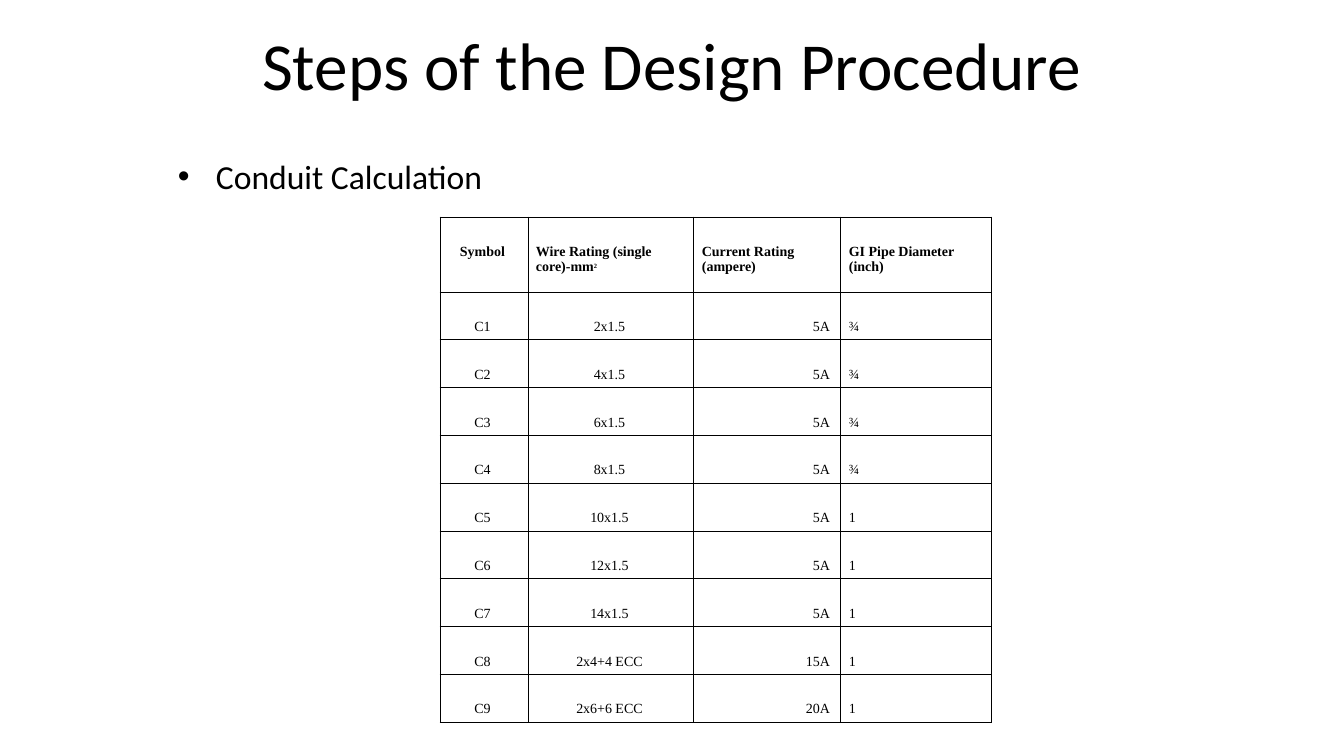
import dataclasses

import lxml.etree
import pptx
import pptx.dml.color
import pptx.enum.text
import pptx.oxml.ns
import pptx.util

ALIGN = pptx.enum.text.PP_ALIGN
ANCHOR = pptx.enum.text.MSO_ANCHOR
BLACK = "000000"
SERIF = "Times New Roman"


@dataclasses.dataclass(frozen=True)
class Label:
    text: str
    left: int
    top: int
    width: int
    height: int
    size: int
    align: ALIGN
    anchor: ANCHOR
    bullet: bool = False


@dataclasses.dataclass(frozen=True)
class Column:
    head: str
    width: int
    align: ALIGN
    start: ALIGN
    power: str = ""


LABELS = [
    Label("Steps of the Design Procedure", 168, 43, 1008, 67, 48,
          ALIGN.CENTER, ANCHOR.BOTTOM),
    Label("Conduit Calculation", 168, 155, 1008, 371, 24,
          ALIGN.LEFT, ANCHOR.TOP, True),
]

COLUMNS = [
    Column("Symbol", 88, ALIGN.CENTER, ALIGN.CENTER),
    Column("Wire Rating (single core)-mm", 166, ALIGN.CENTER, ALIGN.LEFT, "2"),
    Column("Current Rating (ampere)", 147, ALIGN.RIGHT, ALIGN.LEFT),
    Column("GI Pipe Diameter (inch)", 151, ALIGN.LEFT, ALIGN.LEFT),
]

ROWS = [
    ("C1", "2x1.5", "5A", "¾"),
    ("C2", "4x1.5", "5A", "¾"),
    ("C3", "6x1.5", "5A", "¾"),
    ("C4", "8x1.5", "5A", "¾"),
    ("C5", "10x1.5", "5A", "1"),
    ("C6", "12x1.5", "5A", "1"),
    ("C7", "14x1.5", "5A", "1"),
    ("C8", "2x4+4 ECC", "15A", "1"),
    ("C9", "2x6+6 ECC", "20A", "1"),
]

HEAD_HEIGHT = 75
BODY_HEIGHT = 430


def px(count: int) -> pptx.util.Emu:
    return pptx.util.Emu(round(count * 914400 / 100.8))


def color(value: str) -> pptx.dml.color.RGBColor:
    return pptx.dml.color.RGBColor.from_string(value)


def style(run, face: str, size: int, bold: bool = False) -> None:
    run.font.name = face
    run.font.size = pptx.util.Pt(size)
    run.font.bold = bold
    run.font.color.rgb = color(BLACK)


def node(parent, tag: str, **attrs: str):
    return lxml.etree.SubElement(parent, pptx.oxml.ns.qn(tag), **attrs)


def draw_label(slide, label: Label) -> None:
    box = slide.shapes.add_textbox(
        px(label.left), px(label.top), px(label.width), px(label.height))
    frame = box.text_frame
    frame.word_wrap = True
    frame.vertical_anchor = label.anchor
    frame.text = label.text
    para = frame.paragraphs[0]
    para.alignment = label.align
    para.line_spacing = 0.9
    style(para.runs[0], "Calibri", label.size)
    if label.bullet:
        para.space_before = pptx.util.Pt(10)
        props = para._p.get_or_add_pPr()
        props.set("marL", str(px(38)))
        props.set("indent", str(-px(38)))
        node(props, "a:buFont", typeface="Arial")
        node(props, "a:buChar", char="•")


def draw_border(cell) -> None:
    props = cell._tc.get_or_add_tcPr()
    for side in ("a:lnL", "a:lnR", "a:lnT", "a:lnB"):
        line = node(props, side, w=str(pptx.util.Pt(0.75)))
        fill = node(line, "a:solidFill")
        node(fill, "a:srgbClr", val=BLACK)
    node(props, "a:noFill")


def fill_cell(cell, text: str, align: ALIGN, bold: bool, power: str) -> None:
    cell.margin_left = px(8)
    cell.margin_right = px(11)
    cell.margin_top = px(27)
    cell.margin_bottom = px(4)
    para = cell.text_frame.paragraphs[0]
    para.text = text
    para.alignment = align
    style(para.runs[0], SERIF, 10, bold)
    if power:
        run = para.add_run()
        run.text = power
        style(run, SERIF, 8, bold)
        run.font._element.set("baseline", "30000")
    draw_border(cell)


def draw_table(slide) -> None:
    width = sum(column.width for column in COLUMNS)
    frame = slide.shapes.add_table(
        len(ROWS) + 1, len(COLUMNS), px(440), px(217),
        px(width), px(HEAD_HEIGHT + BODY_HEIGHT))
    table = frame.table
    table.first_row = False
    table.horz_banding = False
    for row in table.rows:
        row.height = pptx.util.Emu(px(BODY_HEIGHT) // len(ROWS))
    table.rows[0].height = px(HEAD_HEIGHT)
    for col, column in enumerate(COLUMNS):
        table.columns[col].width = px(column.width)
        fill_cell(table.cell(0, col), column.head, column.start, True,
                  column.power)
        for row, values in enumerate(ROWS, 1):
            fill_cell(table.cell(row, col), values[col], column.align,
                      False, "")


def main() -> None:
    deck = pptx.Presentation()
    deck.slide_width = px(1344)
    deck.slide_height = px(756)
    slide = deck.slides.add_slide(deck.slide_layouts[6])
    for label in LABELS:
        draw_label(slide, label)
    draw_table(slide)
    deck.save("out.pptx")


if __name__ == "__main__":
    main()
